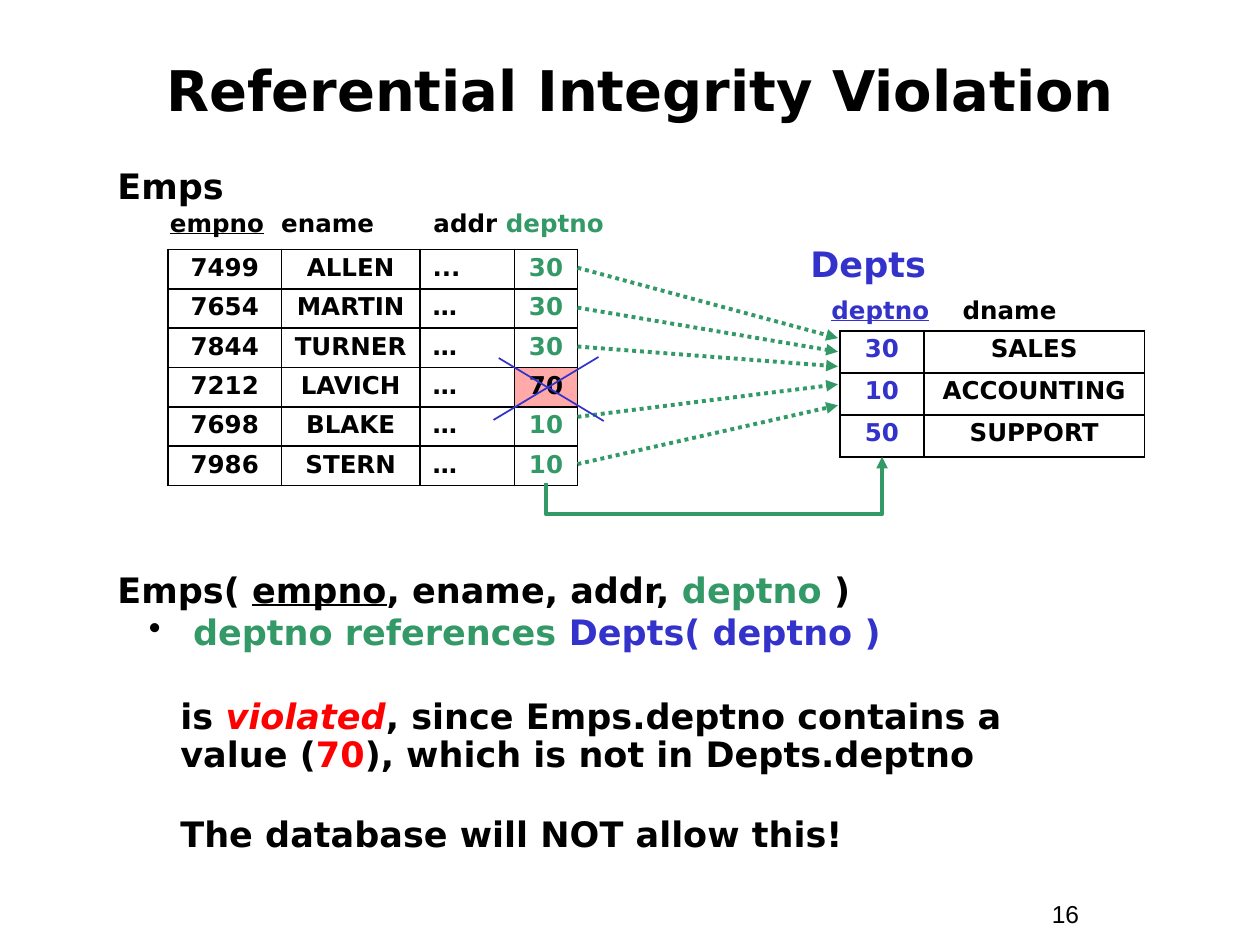
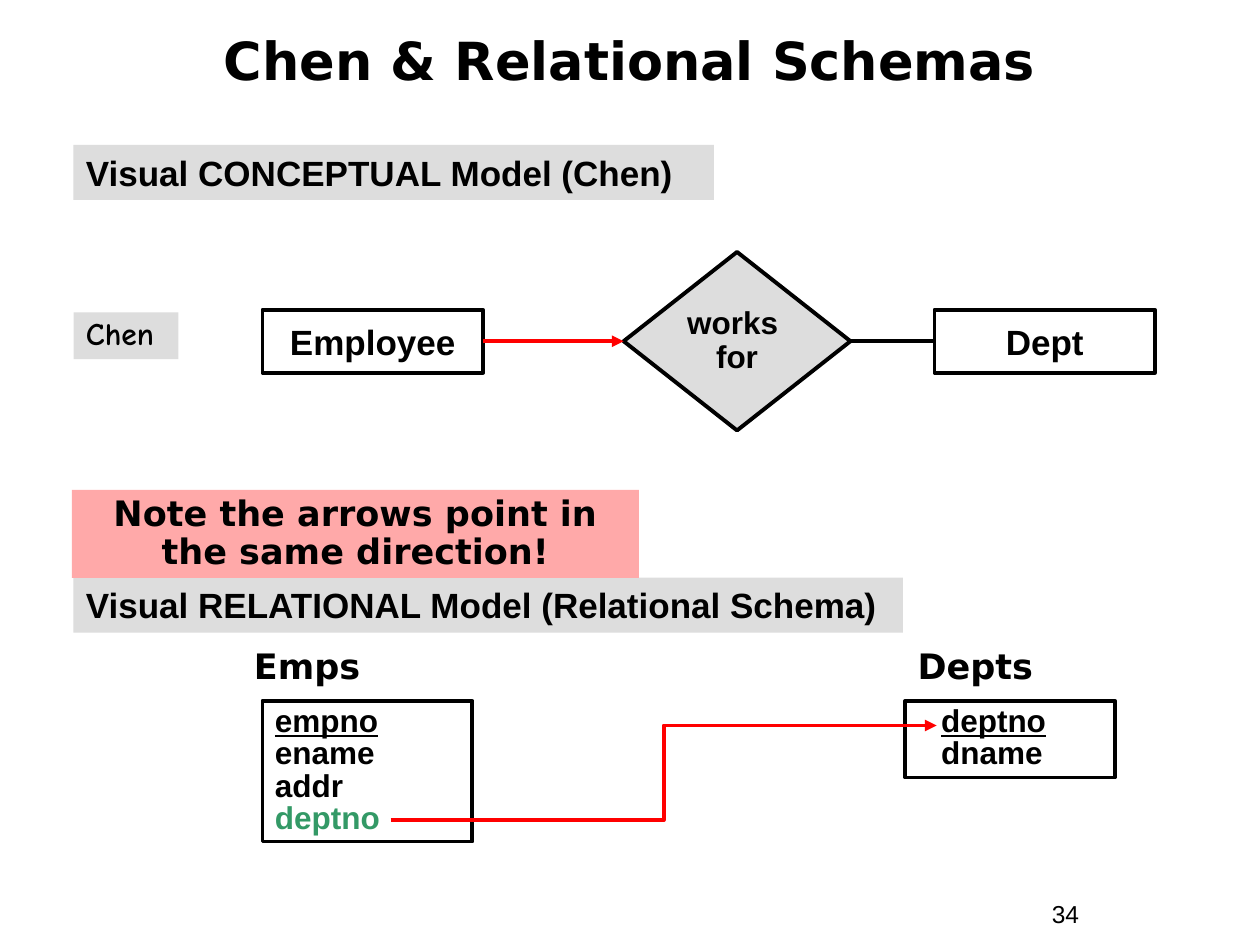
import pptx
import pptx.dml.color
import pptx.enum.dml
import pptx.enum.shapes
import pptx.enum.text
import pptx.oxml
import pptx.oxml.ns
import pptx.util
from lxml import etree

COLOURS = {
    "black": "000000",
    "green": "339966",
    "blue": "3333CC",
    "red": "FF0000",
    "pink": "FFA9A9",
    "grey": "DDDDDD",
}
RGB = {name: pptx.dml.color.RGBColor.from_string(value) for name, value in COLOURS.items()}
LEFT, CENTER = pptx.enum.text.PP_ALIGN.LEFT, pptx.enum.text.PP_ALIGN.CENTER
TOP, MIDDLE = pptx.enum.text.MSO_ANCHOR.TOP, pptx.enum.text.MSO_ANCHOR.MIDDLE
SHAPES = pptx.enum.shapes.MSO_SHAPE
CONNECTORS = pptx.enum.shapes.MSO_CONNECTOR
qn = pptx.oxml.ns.qn

presentation = pptx.Presentation()
presentation.slide_width = pptx.util.Inches(10)
presentation.slide_height = pptx.util.Inches(7.5)
GRID = presentation.slide_width / 120


def write(frame, paragraphs, size=20, font="DejaVu Sans", bold=True, align=LEFT, spacing=None, tabs=()):
    for index, runs in enumerate(paragraphs):
        paragraph = frame.add_paragraph() if index else frame.paragraphs[0]
        paragraph.alignment = align
        paragraph.line_spacing = spacing
        if tabs:
            tab_list = etree.SubElement(paragraph._p.get_or_add_pPr(), qn("a:tabLst"))
            for stop in tabs:
                etree.SubElement(tab_list, qn("a:tab"), pos=str(round(stop * GRID)), algn="l")
        paragraph.font.name = font
        paragraph.font.size = pptx.util.Pt(size)
        paragraph.font.bold = bold
        paragraph.font.color.rgb = RGB[runs[0][1]]
        for text, colour, *style in runs:
            if text == "\n":
                paragraph.add_line_break()
                continue
            run = paragraph.add_run()
            run.text = text
            if colour != runs[0][1]:
                run.font.color.rgb = RGB[colour]
            if "underline" in style:
                run.font.underline = True
            if "italic" in style:
                run.font.italic = True


def add_line(slide, start, end, colour, width=2.25, arrow=True, kind=CONNECTORS.STRAIGHT):
    connector = slide.shapes.add_connector(kind, *[round(value * GRID) for value in (*start, *end)])
    connector.line.color.rgb = RGB[colour]
    connector.line.width = pptx.util.Pt(width)
    if arrow:
        etree.SubElement(connector.line._get_or_add_ln(), qn("a:tailEnd"), type="triangle")
    etree.SubElement(connector._element.spPr, qn("a:effectLst"))
    return connector


blank_layout = presentation.slide_layouts[6]
violation = presentation.slides.add_slide(blank_layout)
schemas = presentation.slides.add_slide(blank_layout)

for slide, title, size, box, number in [
    (violation, "Referential Integrity Violation", 32, (5, 5, 112, 7), "16"),
    (schemas, "Chen & Relational Schemas", 30, (3, 2.2, 114, 7), "34"),
]:
    shape = slide.shapes.add_textbox(*[round(value * GRID) for value in box])
    shape.text_frame.word_wrap = True
    shape.text_frame.vertical_anchor = MIDDLE
    write(shape.text_frame, [[(title, "black")]], size, align=CENTER)
    shape = slide.shapes.add_textbox(*[round(value * GRID) for value in (99, 85, 11, 4)])
    shape.text_frame.word_wrap = True
    write(shape.text_frame, [[(number, "black")]], 14, "Arial", False)

for slide, box, runs, style in [
    (violation, (10, 15.1, 26, 5.3), [("Emps", "black")], {}),
    (violation, (76, 22.5, 26, 5.3), [("Depts", "blue")], {}),
    (violation, (15, 19.2, 45, 4),
     [("empno", "black", "underline"), ("\tename\taddr ", "black"), ("deptno", "green")],
     {"size": 14, "tabs": (10.6, 25.1)}),
    (violation, (78, 27.5, 30, 4),
     [("deptno", "blue", "underline"), ("\tdname", "black"), ("\t", "black", "underline")],
     {"size": 14, "tabs": (12.5, 23.1)}),
    (schemas, (23, 60.75, 26, 5.3), [("Emps", "black")], {}),
    (schemas, (86.2, 60.75, 26, 5.3), [("Depts", "black")], {}),
]:
    shape = slide.shapes.add_textbox(*[round(value * GRID) for value in box])
    shape.text_frame.word_wrap = True
    write(shape.text_frame, [runs], **style)

explanation = violation.shapes.add_textbox(*[round(value * GRID) for value in (10, 54, 99, 32)])
explanation.text_frame.word_wrap = True
write(explanation.text_frame, [
    [("Emps( ", "black"), ("empno", "black", "underline"), (", ename, addr, ", "black"),
     ("deptno", "green"), (" )", "black")],
    [("deptno references ", "green"), ("Depts( deptno )", "blue")],
    [("is ", "black"), ("violated", "red", "italic"), (", since Emps.deptno contains a ", "black"),
     ("\n", "black"), ("value (", "black"), ("70", "red"), ("), which is not in Depts.deptno", "black")],
    [("The database will NOT allow this!", "black")],
], spacing=0.9)
for paragraph, margin, indent, space in zip(
    explanation.text_frame.paragraphs[1:], (7.2, 6, 6), (-4.2, 0, 0), (2.5, 26.5, 24)
):
    paragraph.space_before = pptx.util.Pt(space)
    properties = paragraph._p.get_or_add_pPr()
    properties.set("marL", str(round(margin * GRID)))
    properties.set("indent", str(round(indent * GRID)))
    if indent:
        default_font = properties.find(qn("a:defRPr"))
        bullet_colour = etree.Element(qn("a:buClr"))
        etree.SubElement(bullet_colour, qn("a:srgbClr"), val=COLOURS["black"])
        default_font.addprevious(bullet_colour)
        default_font.addprevious(etree.Element(qn("a:buChar"), char="•"))

emps_rows = [
    ("7499", "ALLEN", "...", "30"),
    ("7654", "MARTIN", "…", "30"),
    ("7844", "TURNER", "…", "30"),
    ("7212", "LAVICH", "…", "70"),
    ("7698", "BLAKE", "…", "10"),
    ("7986", "STERN", "…", "10"),
]
depts_rows = [("30", "SALES"), ("10", "ACCOUNTING"), ("50", "SUPPORT")]
for left, top, widths, row_height, rows, key_column, key_colour in [
    (80, 31.5, (8, 21), 4, depts_rows, 0, "blue"),
    (16, 23.75, (10.8, 13.2, 9, 6), 3.75, emps_rows, 3, "green"),
]:
    box = (left, top, sum(widths), row_height * len(rows))
    table = violation.shapes.add_table(
        len(rows), len(widths), *[round(value * GRID) for value in box]
    ).table
    table.first_row = table.horz_banding = False
    for column, width in zip(table.columns, widths):
        column.width = round(width * GRID)
    for row_index, values in enumerate(rows):
        table.rows[row_index].height = round(row_height * GRID)
        for column_index, value in enumerate(values):
            cell = table.cell(row_index, column_index)
            for side in ("lnL", "lnR", "lnT", "lnB"):
                border = etree.SubElement(
                    cell._tc.get_or_add_tcPr(), qn("a:" + side), w=str(pptx.util.Pt(1.08))
                )
                fill = etree.SubElement(border, qn("a:solidFill"))
                etree.SubElement(fill, qn("a:srgbClr"), val=COLOURS["black"])
            cell.fill.background()
            colour = key_colour if column_index == key_column else "black"
            if value == "70":
                cell.fill.solid()
                cell.fill.fore_color.rgb = RGB["pink"]
                colour = "black"
            align = LEFT if value in ("...", "…") else CENTER
            write(cell.text_frame, [[(value, colour)]], 14, align=align, spacing=0.9)

for start_row, end_row in [(25.5, 32.2), (29.3, 33.5), (33, 34.9), (39.7, 36.6), (44.2, 38.6)]:
    reference = add_line(violation, (55, start_row), (79.8, end_row), "green")
    reference.line.dash_style = pptx.enum.dml.MSO_LINE.ROUND_DOT

foreign_key = add_line(violation, (69.25, 60.75), (66.75, 28.75), "green", kind=CONNECTORS.ELBOW)
foreign_key._element.spPr.find(qn("a:xfrm")).set("rot", "5400000")
geometry = foreign_key._element.spPr.find(qn("a:prstGeom"))
adjustments = geometry.find(qn("a:avLst"))
if adjustments is None:
    adjustments = etree.SubElement(geometry, qn("a:avLst"))
etree.SubElement(adjustments, qn("a:gd"), name="adj1", fmla="val -120000")

for start, end in [((47, 40), (57, 34)), ((57.5, 40.1), (47.5, 34.1))]:
    add_line(violation, start, end, "blue", 1, arrow=False)

arial = {"font": "Arial"}
small_arial = {"font": "Arial", "size": 18}
node = {"font": "Arial", "align": CENTER}
parts = {}
for name, kind, box, fill, outlined, anchor, paragraphs, style in [
    ("emps", SHAPES.RECTANGLE, (25, 66.75, 20, 13.4), None, True, TOP,
     [[("empno", "black", "underline")], [("ename", "black")], [("addr", "black")], [("deptno", "green")]],
     {**small_arial, "spacing": 0.85}),
    ("depts", SHAPES.RECTANGLE, (86.2, 66.75, 20, 7.3), None, True, TOP,
     [[("deptno", "black", "underline")], [("dname", "black")]],
     {**small_arial, "spacing": 0.85}),
    ("conceptual", SHAPES.RECTANGLE, (7, 13.8, 61, 5.25), "grey", False, TOP,
     [[("Visual CONCEPTUAL Model (Chen)", "black")]], arial),
    ("relational", SHAPES.RECTANGLE, (7, 55, 79, 5.25), "grey", False, TOP,
     [[("Visual RELATIONAL Model (Relational Schema)", "black")]], arial),
    ("chen", SHAPES.RECTANGLE, (7, 29.75, 10, 4.45), "grey", False, TOP,
     [[("Chen", "black")]], {"font": "Comic Neue", "size": 18, "spacing": 0.9}),
    ("employee", SHAPES.RECTANGLE, (25, 29.5, 21, 6), None, True, MIDDLE,
     [[("Employee", "black")]], node),
    ("dept", SHAPES.RECTANGLE, (89, 29.5, 21, 6), None, True, MIDDLE,
     [[("Dept", "black")]], node),
    ("works_for", SHAPES.FLOWCHART_DECISION, (59.4, 24, 21.6, 17), "grey", True, MIDDLE,
     [[("works ", "black"), ("\n", "black"), ("for", "black")]],
     {**node, "size": 18, "spacing": 0.9}),
    ("note", SHAPES.RECTANGLE, (6.85, 46.65, 54, 8.4), "pink", False, TOP,
     [[("Note the arrows point in the same direction!", "black")]],
     {"align": CENTER, "spacing": 0.9}),
]:
    shape = schemas.shapes.add_shape(kind, *[round(value * GRID) for value in box])
    shape.shadow.inherit = False
    if fill:
        shape.fill.solid()
        shape.fill.fore_color.rgb = RGB[fill]
    else:
        shape.fill.background()
    if outlined:
        shape.line.color.rgb = RGB["black"]
        shape.line.width = pptx.util.Pt(2.25)
    else:
        shape.line.fill.background()
    shape.text_frame.word_wrap = anchor == TOP
    shape.text_frame.vertical_anchor = anchor
    write(shape.text_frame, paragraphs, **style)
    parts[name] = shape

for paragraph in parts["depts"].text_frame.paragraphs:
    paragraph._p.get_or_add_pPr().set("marL", str(round(2.25 * GRID)))

for source, target, start, end, colour, arrow in [
    ("employee", "works_for", (46, 32.5), (59.4, 32.5), "red", True),
    ("works_for", "dept", (81, 32.5), (89, 32.5), "black", False),
]:
    connector = add_line(schemas, start, end, colour, arrow=arrow)
    connector.begin_connect(parts[source], 3)
    connector.end_connect(parts[target], 1)

add_line(schemas, (37.2, 78.1), (89.2, 69.1), "red", kind=CONNECTORS.ELBOW)

presentation.save("out.pptx")
